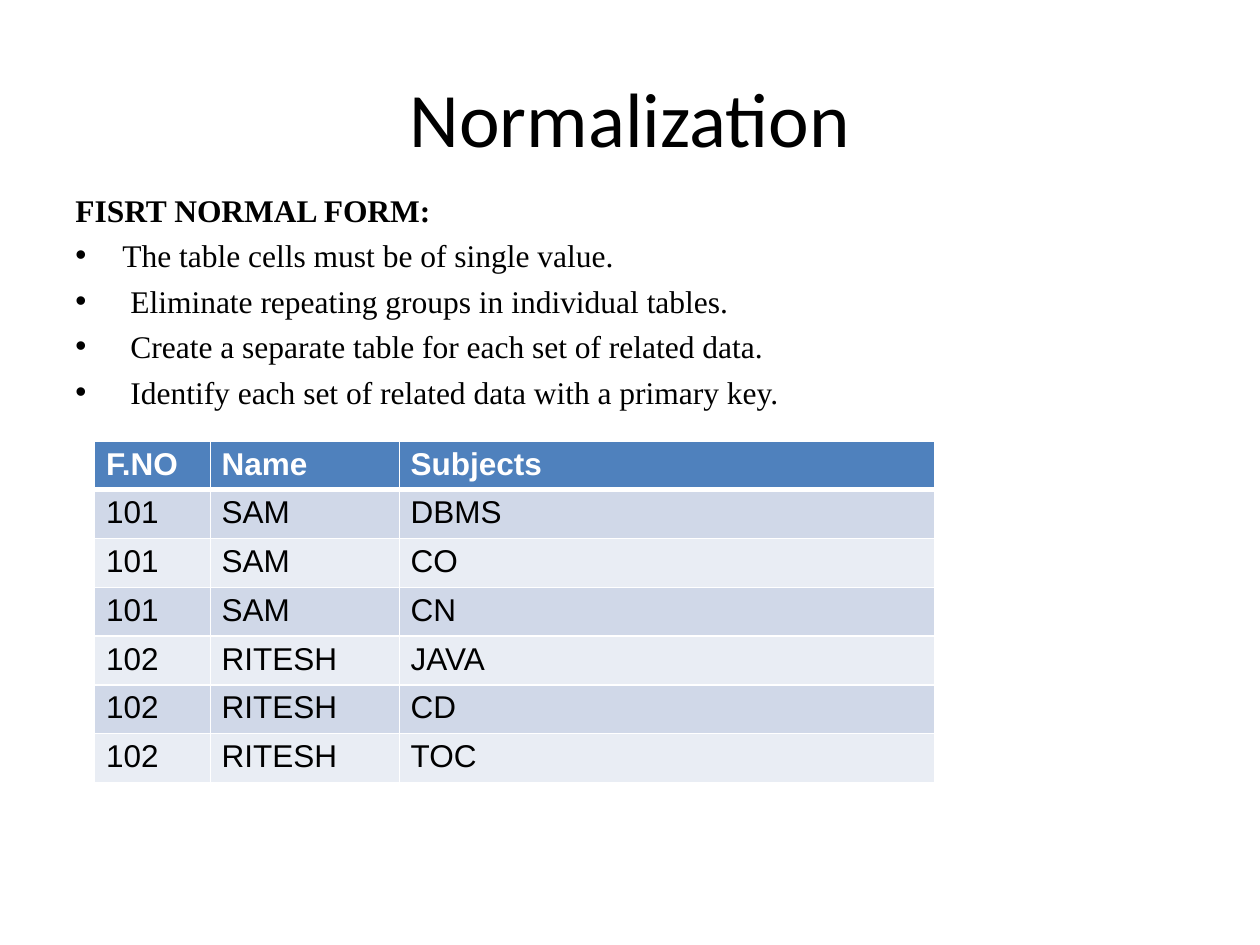
from lxml import etree
from pptx import Presentation
from pptx.dml.color import RGBColor
from pptx.enum.text import MSO_ANCHOR, PP_ALIGN
from pptx.oxml.ns import qn
from pptx.util import Cm, Pt

MIDDLE, TOP = MSO_ANCHOR.MIDDLE, MSO_ANCHOR.TOP
CENTER, LEFT = PP_ALIGN.CENTER, PP_ALIGN.LEFT

TITLE = "Normalization"
HEADING = "FISRT NORMAL FORM:"
RULES = [
    ("The table cells must be of single value.", 0.95),
    ("Eliminate repeating groups in individual tables.", 1.11),
    ("Create a separate table for each set of related data.", 1.11),
    ("Identify each set of related data with a primary key.", 1.11),
]
ROWS = [
    ("F.NO", "Name", "Subjects"),
    ("101", "SAM", "DBMS"),
    ("101", "SAM", "CO"),
    ("101", "SAM", "CN"),
    ("102", "RITESH", "JAVA"),
    ("102", "RITESH", "CD"),
    ("102", "RITESH", "TOC"),
]
COLUMN_WIDTHS = (2.33, 3.81, 10.8)
ROW_HEIGHT = 0.96

THEME = {
    "title_font": "Calibri", "body_font": "Times New Roman", "table_font": "Arial",
    "title_size": 44, "text_size": 18,
    "text": "000000", "inverse": "FFFFFF", "header": "4F81BD",
    "bands": ("D0D8E8", "E9EDF4"), "border": "FFFFFF",
}


def write(paragraph, text, font, size=THEME["text_size"], color=THEME["text"],
          bold=False, align=LEFT, before=0, indent=0, bullet=None):
    properties = paragraph._p.get_or_add_pPr()
    if indent:
        properties.set("marL", str(Cm(indent)))
        properties.set("indent", str(-Cm(indent)))
    paragraph.alignment = align
    paragraph.space_before = Pt(before)
    if bullet:
        etree.SubElement(properties, qn("a:buFont"), typeface="Arial")
        etree.SubElement(properties, qn("a:buChar"), char=bullet)
    run = paragraph.add_run()
    run.text = text
    run.font.name = font
    run.font.size = Pt(size)
    run.font.bold = bold
    run.font.color.rgb = RGBColor.from_string(color)


def add_text_frame(slide, left, top, width, height, anchor):
    shape = slide.shapes.add_textbox(Cm(left), Cm(top), Cm(width), Cm(height))
    frame = shape.text_frame
    frame.word_wrap = True
    frame.vertical_anchor = anchor
    return frame


def set_borders(cell, bottom):
    properties = cell._tc.get_or_add_tcPr()
    for side, width in (("L", 1), ("R", 1), ("T", 1), ("B", bottom)):
        line = etree.SubElement(properties, qn(f"a:ln{side}"), w=str(Pt(width)))
        fill = etree.SubElement(line, qn("a:solidFill"))
        etree.SubElement(fill, qn("a:srgbClr"), val=THEME["border"])


def add_subject_table(slide, left, top):
    frame = slide.shapes.add_table(
        len(ROWS), len(COLUMN_WIDTHS), Cm(left), Cm(top),
        Cm(sum(COLUMN_WIDTHS)), Cm(ROW_HEIGHT * len(ROWS)))
    table = frame.table
    for column, width in zip(table.columns, COLUMN_WIDTHS):
        column.width = Cm(width)
    for row_index, values in enumerate(ROWS):
        is_header = row_index == 0
        fill = THEME["header"] if is_header else THEME["bands"][(row_index - 1) % 2]
        table.rows[row_index].height = Cm(ROW_HEIGHT)
        for column_index, value in enumerate(values):
            cell = table.cell(row_index, column_index)
            cell.margin_left = cell.margin_right = Cm(0.23)
            cell.margin_top = cell.margin_bottom = Cm(0.11)
            set_borders(cell, bottom=3 if is_header else 1)
            cell.fill.solid()
            cell.fill.fore_color.rgb = RGBColor.from_string(fill)
            write(cell.text_frame.paragraphs[0], value, THEME["table_font"],
                  color=THEME["inverse" if is_header else "text"], bold=is_header)


def main():
    presentation = Presentation()
    presentation.slide_width, presentation.slide_height = Cm(25.4), Cm(19.05)
    slide = presentation.slides.add_slide(presentation.slide_layouts[6])

    title = add_text_frame(slide, 1.27, 0.76, 22.86, 3.18, MIDDLE)
    write(title.paragraphs[0], TITLE, THEME["title_font"],
          size=THEME["title_size"], align=CENTER)

    body = add_text_frame(slide, 1.27, 3.72, 23.06, 14.26, TOP)
    write(body.paragraphs[0], HEADING, THEME["body_font"], bold=True, indent=0.95)
    for text, indent in RULES:
        write(body.add_paragraph(), text, THEME["body_font"],
              before=4.4, indent=indent, bullet="•")

    add_subject_table(slide, 1.91, 8.89)
    presentation.save("out.pptx")


if __name__ == "__main__":
    main()
